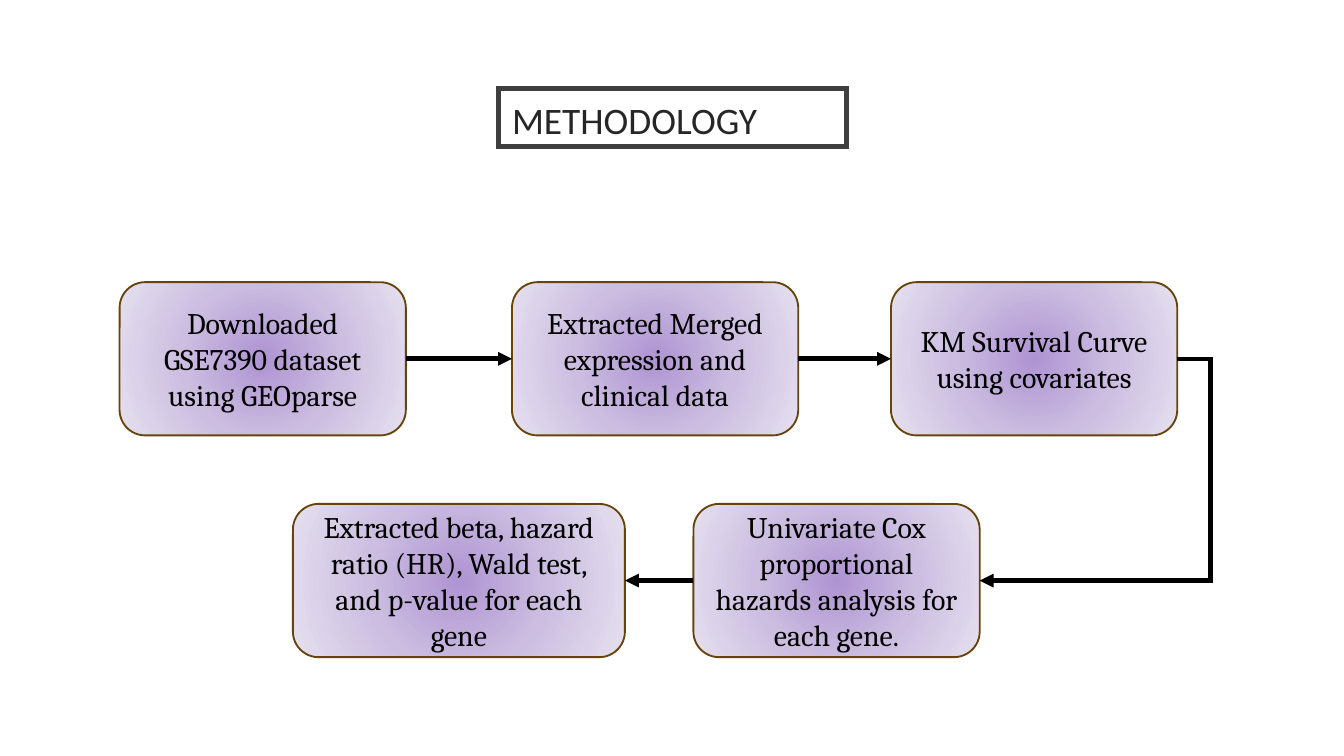
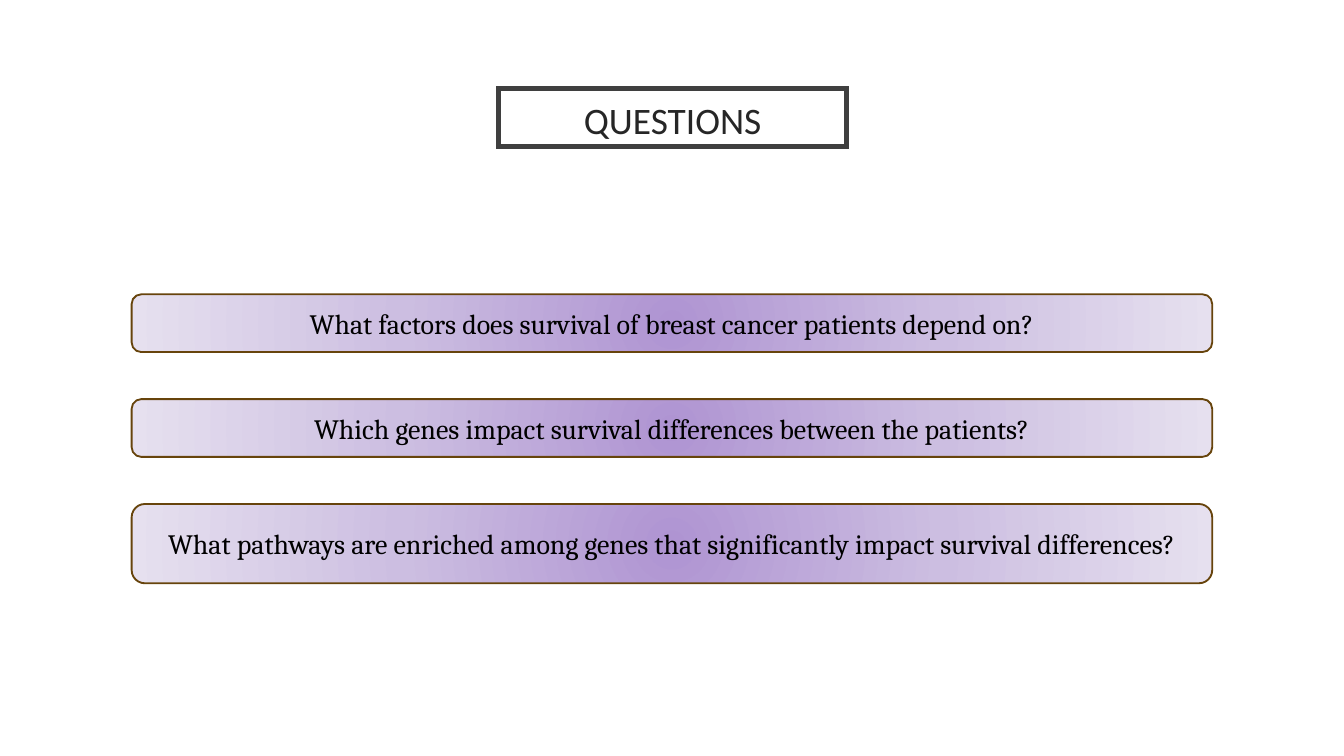
from lxml.etree import SubElement
from pptx import Presentation
from pptx.dml.color import RGBColor
from pptx.enum.shapes import MSO_CONNECTOR, MSO_SHAPE
from pptx.enum.text import MSO_ANCHOR, MSO_AUTO_SIZE, PP_ALIGN
from pptx.oxml.ns import qn
from pptx.util import Inches, Pt

ROUNDED = MSO_SHAPE.ROUNDED_RECTANGLE
STRAIGHT, ELBOW = MSO_CONNECTOR.STRAIGHT, MSO_CONNECTOR.ELBOW
LEFT, CENTER = PP_ALIGN.LEFT, PP_ALIGN.CENTER
TOP, MIDDLE = MSO_ANCHOR.TOP, MSO_ANCHOR.MIDDLE
NO_AUTOFIT = MSO_AUTO_SIZE.NONE
LEFT_SIDE, RIGHT_SIDE = 1, 3

SLIDE_WIDTH = 10
SLIDE_HEIGHT = SLIDE_WIDTH * 9 / 16

WHITE, BLACK = "FFFFFF", "000000"
TITLE_BORDER, TITLE_TEXT = "3F3F3F", "262626"
BOX_BORDER = "67440C"
GLOW = [(0, "AF94D2"), (50, "CCBEE1"), (100, "E6E0EF")]

TITLE_AREA = (3.71, 0.66, 2.59, 0.43)
TITLE_FRAME = {"margin_left": Inches(0.1), "margin_right": Inches(0.1),
               "margin_top": Inches(0.1), "margin_bottom": Inches(0.1),
               "vertical_anchor": TOP, "word_wrap": True, "auto_size": NO_AUTOFIT}
BOX_FRAME = {**TITLE_FRAME, "margin_top": Inches(0.05), "margin_bottom": Inches(0.05),
             "vertical_anchor": MIDDLE}
TITLE_FONT = {"name": "Calibri", "size": Pt(20), "bold": False}
STEP_FONT = {"name": "Cambria", "size": Pt(16)}
QUESTION_FONT = {"name": "Cambria", "size": Pt(15)}

STEP_WIDTH, STEP_HEIGHT = 2.13, 1.14
UPPER_ROW, LOWER_ROW = 2.1, 3.75
STEPS = [
    ("Downloaded GSE7390 dataset using GEOparse", 0.89, UPPER_ROW, STEP_WIDTH),
    ("Extracted Merged expression and clinical data", 3.81, UPPER_ROW, STEP_WIDTH),
    ("KM Survival Curve using covariates", 6.63, UPPER_ROW, STEP_WIDTH),
    ("Univariate Cox proportional hazards analysis for each gene.", 5.16, LOWER_ROW, STEP_WIDTH),
    ("Extracted beta, hazard ratio (HR), Wald test, and p-value for each gene",
     2.18, LOWER_ROW, 2.47),
]
ARROWS = [
    (STRAIGHT, RIGHT_SIDE, LEFT_SIDE),
    (STRAIGHT, RIGHT_SIDE, LEFT_SIDE),
    (ELBOW, RIGHT_SIDE, RIGHT_SIDE),
    (STRAIGHT, LEFT_SIDE, RIGHT_SIDE),
]
ELBOW_BEND = -0.17

QUESTION_LEFT, QUESTION_TOP, QUESTION_WIDTH, QUESTION_GAP = 0.98, 2.19, 8.04, 0.35
QUESTIONS = [
    ("What factors does survival of breast cancer patients depend on?", 0.43),
    ("Which genes impact survival differences between the patients?", 0.43),
    ("What pathways are enriched among genes that significantly impact survival differences?",
     0.59),
]


def color(value):
    return RGBColor.from_string(value)


def apply(target, values):
    for name, value in values.items():
        setattr(target, name, value)


def set_line(shape, line_color, width):
    shape.line.color.rgb = color(line_color)
    shape.line.width = Pt(width)


def add_line_part(shape, tag, **attributes):
    line = shape._element.spPr.find(qn("a:ln"))
    SubElement(line, qn(tag), **attributes)


def write(shape, text, frame_format, font_format, font_color, alignment):
    frame = shape.text_frame
    frame.text = text
    apply(frame, frame_format)
    paragraph = frame.paragraphs[0]
    paragraph.alignment = alignment
    apply(paragraph.font, font_format)
    paragraph.font.color.rgb = color(font_color)
    return paragraph


def add_titled_slide(presentation, text, alignment):
    slide = presentation.slides.add_slide(presentation.slide_layouts[5])
    title = slide.shapes.title
    title.left, title.top, title.width, title.height = map(Inches, TITLE_AREA)
    title.fill.solid()
    title.fill.fore_color.rgb = color(WHITE)
    set_line(title, TITLE_BORDER, 2.5)
    add_line_part(title, "a:miter", lim="800000")
    paragraph = write(title, text, TITLE_FRAME, TITLE_FONT, TITLE_TEXT, alignment)
    paragraph.line_spacing = 0.9
    return slide


def fill_with_glow(shape):
    properties = shape._element.spPr
    gradient = SubElement(properties, qn("a:gradFill"), rotWithShape="1")
    stops = SubElement(gradient, qn("a:gsLst"))
    for percent, value in GLOW:
        stop = SubElement(stops, qn("a:gs"), pos=str(percent * 1000))
        SubElement(stop, qn("a:srgbClr"), val=value)
    radial = SubElement(gradient, qn("a:path"), path="circle")
    SubElement(radial, qn("a:fillToRect"), l="50000", t="50000", r="50000", b="50000")
    properties.find(qn("a:prstGeom")).addnext(gradient)


def add_box(slide, text, area, font_format):
    box = slide.shapes.add_shape(ROUNDED, *map(Inches, area))
    box.adjustments[0] = 0.167
    box.shadow.inherit = False
    fill_with_glow(box)
    set_line(box, BOX_BORDER, 1)
    write(box, text, BOX_FRAME, font_format, BLACK, CENTER)
    return box


def add_arrow(slide, kind, start, start_side, end, end_side):
    arrow = slide.shapes.add_connector(kind, 0, 0, 0, 0)
    arrow.begin_connect(start, start_side)
    arrow.end_connect(end, end_side)
    set_line(arrow, BLACK, 2.5)
    add_line_part(arrow, "a:miter", lim="800000")
    add_line_part(arrow, "a:tailEnd", type="triangle")
    properties = arrow._element.spPr
    SubElement(properties, qn("a:effectLst"))
    if kind == ELBOW:
        geometry = properties.find(qn("a:prstGeom"))
        adjustments = geometry.find(qn("a:avLst"))
        SubElement(adjustments, qn("a:gd"), name="adj1", fmla=f"val {round(ELBOW_BEND * 100000)}")


def build_methodology(presentation):
    slide = add_titled_slide(presentation, "METHODOLOGY", LEFT)
    boxes = [add_box(slide, text, (left, top, width, STEP_HEIGHT), STEP_FONT)
             for text, left, top, width in STEPS]
    for start, end, (kind, start_side, end_side) in zip(boxes, boxes[1:], ARROWS):
        add_arrow(slide, kind, start, start_side, end, end_side)


def build_questions(presentation):
    slide = add_titled_slide(presentation, "QUESTIONS", CENTER)
    top = QUESTION_TOP
    for text, height in QUESTIONS:
        add_box(slide, text, (QUESTION_LEFT, top, QUESTION_WIDTH, height), QUESTION_FONT)
        top += height + QUESTION_GAP


def main():
    presentation = Presentation()
    presentation.slide_width = Inches(SLIDE_WIDTH)
    presentation.slide_height = Inches(SLIDE_HEIGHT)
    build_methodology(presentation)
    build_questions(presentation)
    presentation.save("out.pptx")


if __name__ == "__main__":
    main()
